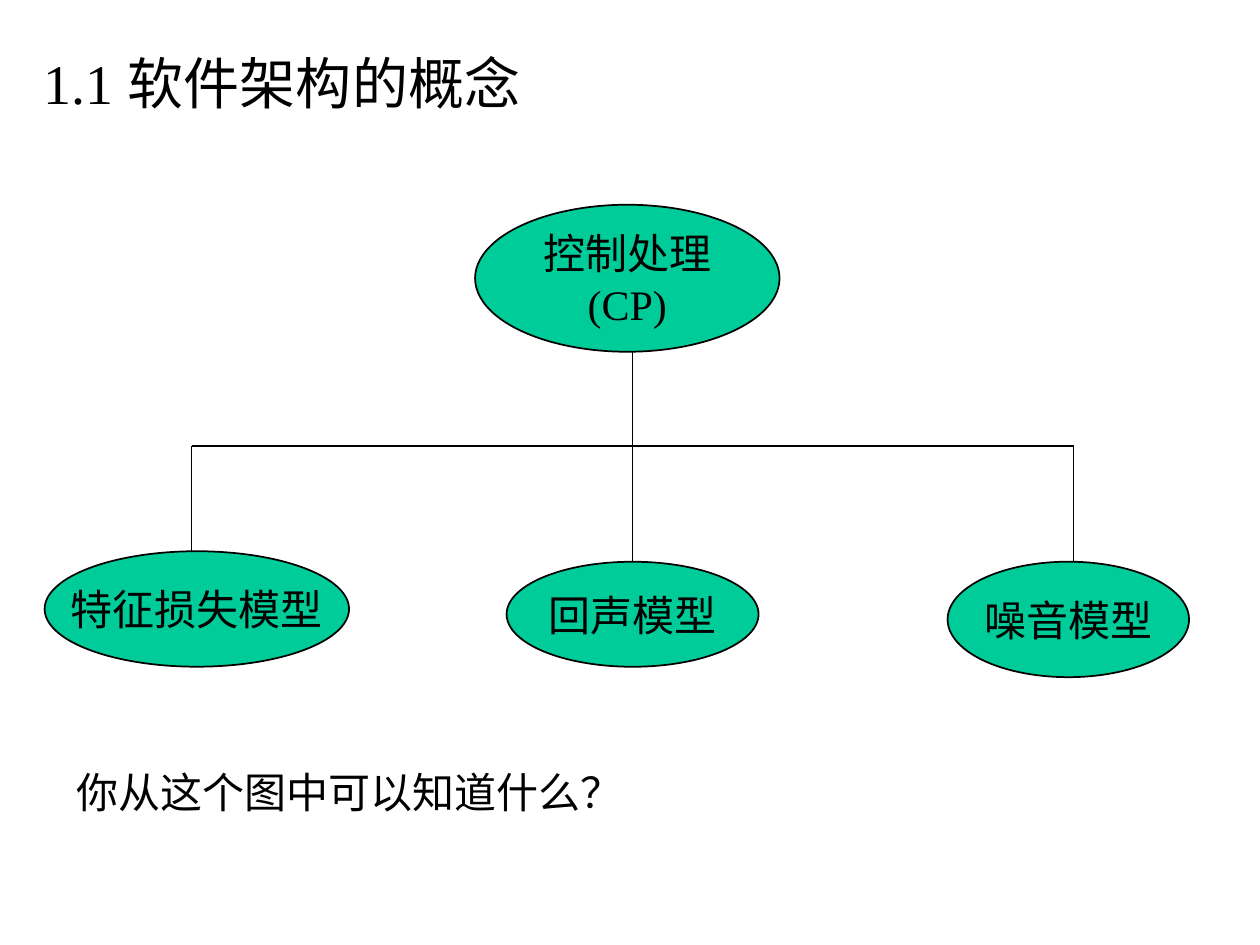
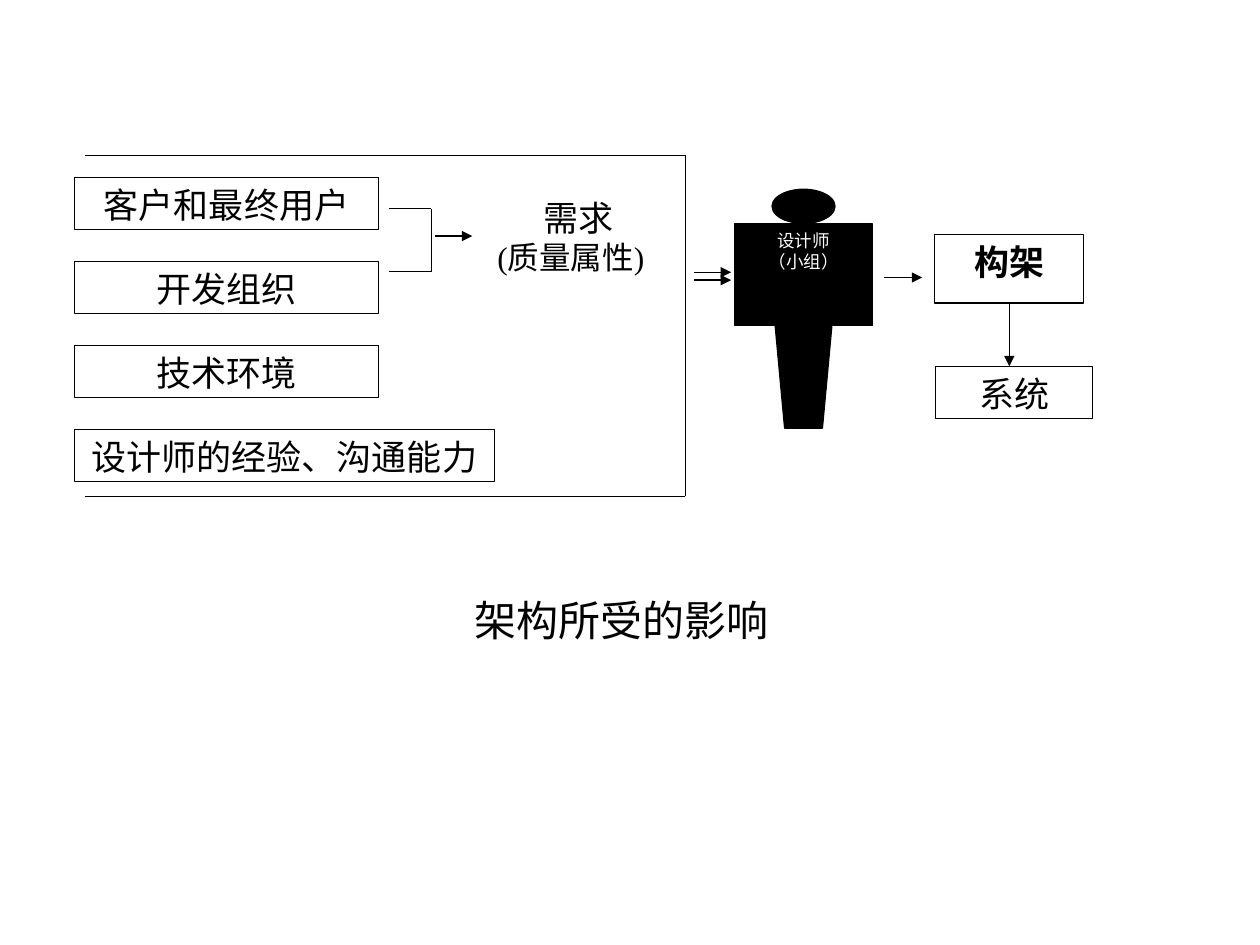
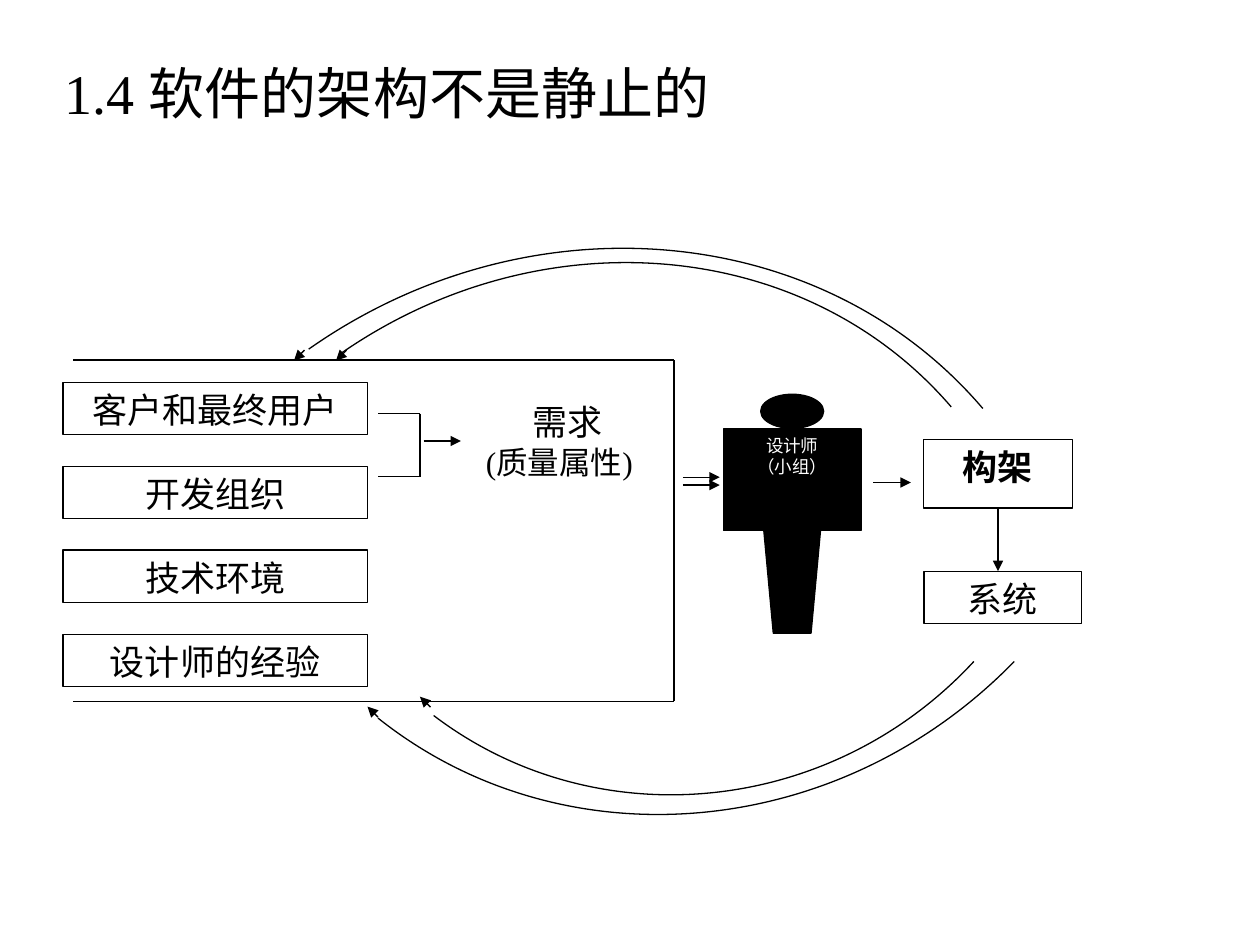
from math import cos, radians, sin

from lxml import etree
from pptx import Presentation
from pptx.dml.color import RGBColor
from pptx.enum.shapes import MSO_CONNECTOR, MSO_SHAPE
from pptx.enum.text import MSO_ANCHOR, MSO_AUTO_SIZE, PP_ALIGN
from pptx.oxml.ns import qn
from pptx.util import Inches, Pt

BLACK = RGBColor(0x00, 0x00, 0x00)
WHITE = RGBColor(0xFF, 0xFF, 0xFF)
GREEN = RGBColor(0x00, 0xCC, 0x99)
FONT = "Times New Roman"
COLUMNS, ROWS = 120, 90
BLANK_LAYOUT = 6
TOP_SIDE, BOTTOM_SIDE = 0, 2

STRAIGHT = MSO_CONNECTOR.STRAIGHT
OVAL, RECTANGLE = MSO_SHAPE.OVAL, MSO_SHAPE.RECTANGLE
TRAPEZOID = MSO_SHAPE.FLOWCHART_MANUAL_OPERATION
LEFT, CENTER, JUSTIFY = PP_ALIGN.LEFT, PP_ALIGN.CENTER, PP_ALIGN.JUSTIFY
TOP, MIDDLE = MSO_ANCHOR.TOP, MSO_ANCHOR.MIDDLE
FIT_SHAPE = MSO_AUTO_SIZE.SHAPE_TO_FIT_TEXT


def write(frame, text, size=20, color=BLACK, bold=False, align=CENTER, anchor=TOP, wrap=True):
    frame.word_wrap = wrap
    frame.vertical_anchor = anchor
    for index, line in enumerate(text.split("\n")):
        para = frame.add_paragraph() if index else frame.paragraphs[0]
        para.alignment = align
        span = para.add_run()
        span.text = line
        span.font.name = FONT
        span.font.size = Pt(size)
        span.font.bold = bold
        span.font.color.rgb = color


def turn_back(point, shape):
    angle = radians(shape.rotation)
    across = point[0] - shape.left - shape.width / 2
    down = point[1] - shape.top - shape.height / 2
    return (round(across * cos(angle) + down * sin(angle) + shape.width / 2),
            round(down * cos(angle) - across * sin(angle) + shape.height / 2))


class Deck:
    def __init__(self):
        self.deck = Presentation()
        self.deck.slide_width = Inches(10)
        self.deck.slide_height = Inches(7.5)
        self.page = None
        self.line_width = 0.75
        self.origin = (0, 0)

    def new_page(self, line_width=0.75):
        self.page = self.deck.slides.add_slide(self.deck.slide_layouts[BLANK_LAYOUT])
        self.line_width = line_width
        self.origin = (0, 0)

    def size(self, columns, rows):
        return (round(self.deck.slide_width * columns / COLUMNS),
                round(self.deck.slide_height * rows / ROWS))

    def place(self, column, row):
        return self.size(column + self.origin[0], row + self.origin[1])

    def stroke(self, line):
        line.color.rgb = BLACK
        line.width = Pt(self.line_width)

    def text(self, column, row, columns, rows, text, fit=True, **style):
        box = self.page.shapes.add_textbox(*self.place(column, row), *self.size(columns, rows))
        write(box.text_frame, text, **style)
        if fit:
            box.text_frame.auto_size = FIT_SHAPE
        return box

    def title(self, column, row, columns, text):
        self.text(column, row, columns, 7.7, text, size=32, align=LEFT)

    def shape(self, kind, column, row, columns, rows, text="", fill=WHITE, **style):
        shape = self.page.shapes.add_shape(kind, *self.place(column, row), *self.size(columns, rows))
        shape.shadow.inherit = False
        shape.fill.solid()
        shape.fill.fore_color.rgb = fill
        self.stroke(shape.line)
        if text:
            write(shape.text_frame, text, **style)
        return shape

    def node(self, column, row, columns, rows, text):
        return self.shape(OVAL, column, row, columns, rows, text, fill=GREEN,
                          size=24, anchor=MIDDLE, wrap=False)

    def line(self, start, end, arrow=False):
        connector = self.page.shapes.add_connector(STRAIGHT, *self.place(*start), *self.place(*end))
        self.stroke(connector.line)
        properties = connector.element.spPr
        if arrow:
            etree.SubElement(properties.find(qn("a:ln")), qn("a:tailEnd"), type="triangle")
        etree.SubElement(properties, qn("a:effectLst"))
        return connector

    def path_through(self, *points):
        for start, end in zip(points, points[1:]):
            self.line(start, end)

    def curve(self, column, row, columns, rows, rotation, points):
        builder = self.page.shapes.build_freeform(*self.place(column, row))
        builder.add_line_segments([self.place(column + columns, row + rows)], close=False)
        arc = builder.convert_to_shape()
        arc.rotation = rotation
        arc.shadow.inherit = False
        arc.fill.background()
        self.stroke(arc.line)
        outline = arc.element.spPr.find(".//" + qn("a:path"))
        for step in list(outline):
            outline.remove(step)
        for tag, dots in (("a:moveTo", points[:1]), ("a:cubicBezTo", points[1:])):
            step = etree.SubElement(outline, qn(tag))
            for dot in dots:
                across, down = turn_back(self.place(*dot), arc)
                etree.SubElement(step, qn("a:pt"), x=str(across), y=str(down))

    def influences(self, origin, factors):
        self.origin = origin
        self.path_through((1, 0), (58.2, 0), (58.2, 32.5), (1, 32.5))
        self.line((34.35, 7.7), (37.9, 7.7), arrow=True)
        self.requirements()
        self.designer()
        self.line((77.15, 11.65), (80.75, 11.65), arrow=True)
        for row in (11.15, 11.9):
            self.line((59.05, row), (62.55, row), arrow=True)
        architecture = self.shape(RECTANGLE, 81.95, 7.55, 14.2, 6.55, "构架", bold=True)
        down = self.line((89.05, 14.1), (89.05, 20.1), arrow=True)
        down.begin_connect(architecture, BOTTOM_SIDE)
        self.shape(RECTANGLE, 82, 20.1, 15, 5, "系统")
        self.path_through((30, 5.1), (34, 5.1), (34, 11.1), (30, 11.1))
        for index, (label, columns) in enumerate(factors):
            self.shape(RECTANGLE, 0, 2.1 + 8 * index, columns, 5, label)
        self.origin = (0, 0)

    def requirements(self):
        box = self.text(39.1, 3.3, 17.9, 8.75, "需求\n(质量属性)", fit=False)
        detail = box.text_frame.paragraphs[1]
        detail.alignment = JUSTIFY
        detail.runs[0].font.size = Pt(18)

    def designer(self):
        self.shape(OVAL, 66.45, 3.25, 6, 3.25, fill=BLACK)
        self.shape(RECTANGLE, 62.9, 6.55, 13.1, 9.7, "设计师\n（小组）", fill=BLACK,
                   size=10, color=WHITE)
        self.shape(TRAPEZOID, 66.45, 13, 6, 13, fill=BLACK)


def concept_page(deck):
    deck.new_page(line_width=1)
    deck.title(3, 4, 115, "1.1 软件架构的概念")
    deck.node(45.25, 19.5, 29, 14, "控制处理\n(CP)")
    deck.line((18.25, 42.5), (102.25, 42.5))
    deck.line((60.25, 33.5), (60.25, 42.5))
    deck.line((18.25, 42.5), (18.25, 52.5))
    deck.node(4.25, 52.5, 29, 11, "特征损失模型")
    to_echo = deck.line((60.25, 42.5), (60.25, 53.5))
    echo = deck.node(48.25, 53.5, 24, 10, "回声模型")
    to_echo.end_connect(echo, TOP_SIDE)
    deck.line((102.25, 42.5), (102.25, 53.5))
    deck.node(90.25, 53.5, 23, 11, "噪音模型")
    deck.text(6.1, 72.4, 63.35, 6, "你从这个图中可以知道什么？", size=24, align=LEFT)


def influence_page(deck, factors):
    deck.new_page()
    deck.influences((7.08, 14.78), factors + [("设计师的经验、沟通能力", 40)])
    deck.text(44, 56, 32, 6, "架构所受的影响", size=24, align=LEFT)


def feedback_page(deck, factors):
    deck.new_page()
    deck.influences((6, 34.3), factors + [("设计师的经验", 29)])
    deck.curve(41.9, 15.35, 41.15, 44.9, 235.1,
               [(90.6, 38.75), (76.7, 22.55), (51.5, 20.4), (32.4, 33.7)])
    deck.curve(39.95, 12.95, 45.5, 49.45, 235.1,
               [(93.6, 38.9), (78.35, 21), (50.4, 18.5), (29.4, 33.25)])
    deck.curve(46.9, 45.1, 37.7, 38.65, 42.7,
               [(41.3, 68.15), (56.75, 79.9), (79.1, 77.75), (92.75, 63)])
    deck.curve(42.95, 41.3, 43.7, 45.95, 44.1,
               [(36, 68.4), (53.65, 82.45), (79.9, 80.15), (96.6, 63)])
    for column, row, rise in ((28, 34.35, -1), (32, 34.35, -1), (35, 67.3, 1), (40, 66.35, 1)):
        deck.line((column + 1, row + rise), (column, row), arrow=True)
    deck.title(5, 5, 111, "1.4 软件的架构不是静止的")


def main():
    deck = Deck()
    factors = [(label, 29) for label in ("客户和最终用户", "开发组织", "技术环境")]
    concept_page(deck)
    influence_page(deck, factors)
    feedback_page(deck, factors)
    deck.deck.save("out.pptx")


if __name__ == "__main__":
    main()
